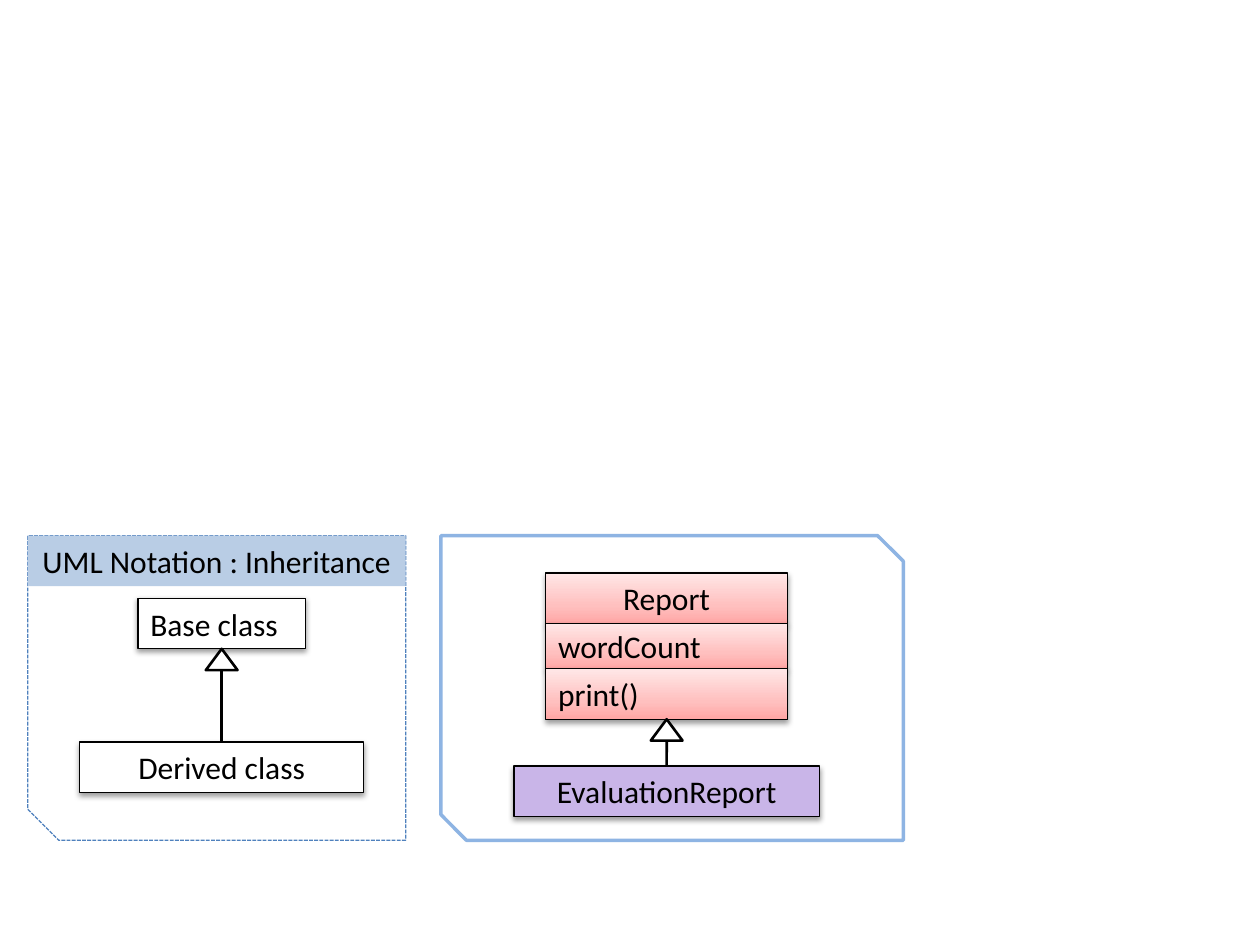
from copy import deepcopy

from lxml.etree import SubElement
from pptx import Presentation
from pptx.dml.color import RGBColor
from pptx.enum.dml import MSO_LINE
from pptx.enum.shapes import MSO_CONNECTOR, MSO_SHAPE
from pptx.enum.text import MSO_ANCHOR, PP_ALIGN
from pptx.oxml.ns import qn
from pptx.util import Cm, Pt

ROW = 1.02
TRIANGLE_W, TRIANGLE_H = 0.64, 0.43
PINK = ("FFA6A5", "FFC0BF", "FFE7E7")
HEADER = "UML Notation : Inheritance"
DIAGRAMS = [
    {
        "centre": 13.44, "top": 11.55, "width": 4.88, "fill": PINK,
        "rows": [("Report", ROW, PP_ALIGN.CENTER),
                 ("wordCount", 0.91, PP_ALIGN.LEFT),
                 ("print()", ROW, PP_ALIGN.LEFT)],
        "derived": ("EvaluationReport", 15.44, 6.15, "C9B5E8"),
    },
    {
        "centre": 4.47, "top": 12.06, "width": 3.38, "fill": "FFFFFF",
        "rows": [("Base class", ROW, PP_ALIGN.LEFT)],
        "derived": ("Derived class", 14.96, 5.72, "FFFFFF"),
    },
]


def rgb(value):
    return RGBColor.from_string(value)


def set_fill(sp, fill):
    if isinstance(fill, str):
        sp.fill.solid()
        sp.fill.fore_color.rgb = rgb(fill)
        return
    sp.fill.gradient()
    sp.fill.gradient_angle = 90
    first = sp._element.spPr.find(".//" + qn("a:gs"))
    first.addnext(deepcopy(first))
    for stop, position, color in zip(sp.fill.gradient_stops, (0, 0.35, 1), fill):
        stop.position = position
        stop.color.rgb = rgb(color)


def add_shadow(sp):
    effects = sp._element.spPr.find(qn("a:effectLst"))
    shadow = SubElement(effects, qn("a:outerShdw"), blurRad="40000",
                        dist="20000", dir="5400000", rotWithShape="0")
    color = SubElement(shadow, qn("a:srgbClr"), val="000000")
    SubElement(color, qn("a:alpha"), val="38000")


def add_shape(s, kind, x, y, w, h, fill="FFFFFF", line=None, weight=0.75):
    sp = s.shapes.add_shape(kind, Cm(x), Cm(y), Cm(w), Cm(h))
    sp.shadow.inherit = False
    set_fill(sp, fill)
    if line:
        sp.line.color.rgb = rgb(line)
        sp.line.width = Pt(weight)
    else:
        sp.line.fill.background()
    return sp


def add_text(sp, text, align=PP_ALIGN.CENTER, anchor=MSO_ANCHOR.MIDDLE,
             size=18, font="Calibri", color="000000"):
    tf = sp.text_frame
    tf.word_wrap = True
    tf.vertical_anchor = anchor
    p = tf.paragraphs[0]
    p.alignment = align
    r = p.add_run()
    r.text = text
    r.font.size = Pt(size)
    r.font.name = font
    r.font.color.rgb = rgb(color)


def add_class_box(s, text, centre, y, w, h, fill, align=PP_ALIGN.CENTER):
    sp = add_shape(s, MSO_SHAPE.RECTANGLE, centre - w / 2, y, w, h, fill, "000000")
    add_shadow(sp)
    add_text(sp, text, align)
    return sp


def add_inheritance(s, centre, y, derived):
    add_shape(s, MSO_SHAPE.ISOSCELES_TRIANGLE, centre - TRIANGLE_W / 2, y,
              TRIANGLE_W, TRIANGLE_H, line="000000", weight=1.5)
    stem = s.shapes.add_connector(MSO_CONNECTOR.STRAIGHT, Cm(centre),
                                  Cm(y + TRIANGLE_H), Cm(centre), derived.top)
    stem.end_connect(derived, 0)
    stem.line.color.rgb = rgb("000000")
    stem.line.width = Pt(1.5)
    SubElement(stem._element.spPr, qn("a:effectLst"))


def add_panels(s):
    example = add_shape(s, MSO_SHAPE.SNIP_2_DIAG_RECTANGLE, 8.89, 10.8, 9.32, 6.14,
                        line="8EB4E3", weight=2)
    example.adjustments[0] = 0
    example.adjustments[1] = 0.084
    notation = add_shape(s, MSO_SHAPE.SNIP_1_RECTANGLE, 0.56, 10.8, 7.62, 6.14,
                         line="4F81BD")
    notation.adjustments[0] = 0.102
    notation.rotation = 180
    notation.line.dash_style = MSO_LINE.SQUARE_DOT
    header = add_shape(s, MSO_SHAPE.RECTANGLE, 0.56, 10.8, 7.62, ROW, "B9CDE5")
    add_text(header, HEADER, anchor=MSO_ANCHOR.TOP)


def add_diagram(s, centre, top, width, fill, rows, derived):
    y = top
    for text, height, align in rows:
        add_class_box(s, text, centre, y, width, height, fill, align)
        y += height
    text, derived_top, derived_width, derived_fill = derived
    box = add_class_box(s, text, centre, derived_top, derived_width, ROW, derived_fill)
    add_inheritance(s, centre, y, box)


def main():
    prs = Presentation()
    prs.slide_width, prs.slide_height = Cm(25.4), Cm(19.05)
    s = prs.slides.add_slide(prs.slide_layouts[6])
    add_panels(s)
    for diagram in DIAGRAMS:
        add_diagram(s, **diagram)
    prs.save("out.pptx")


if __name__ == "__main__":
    main()
